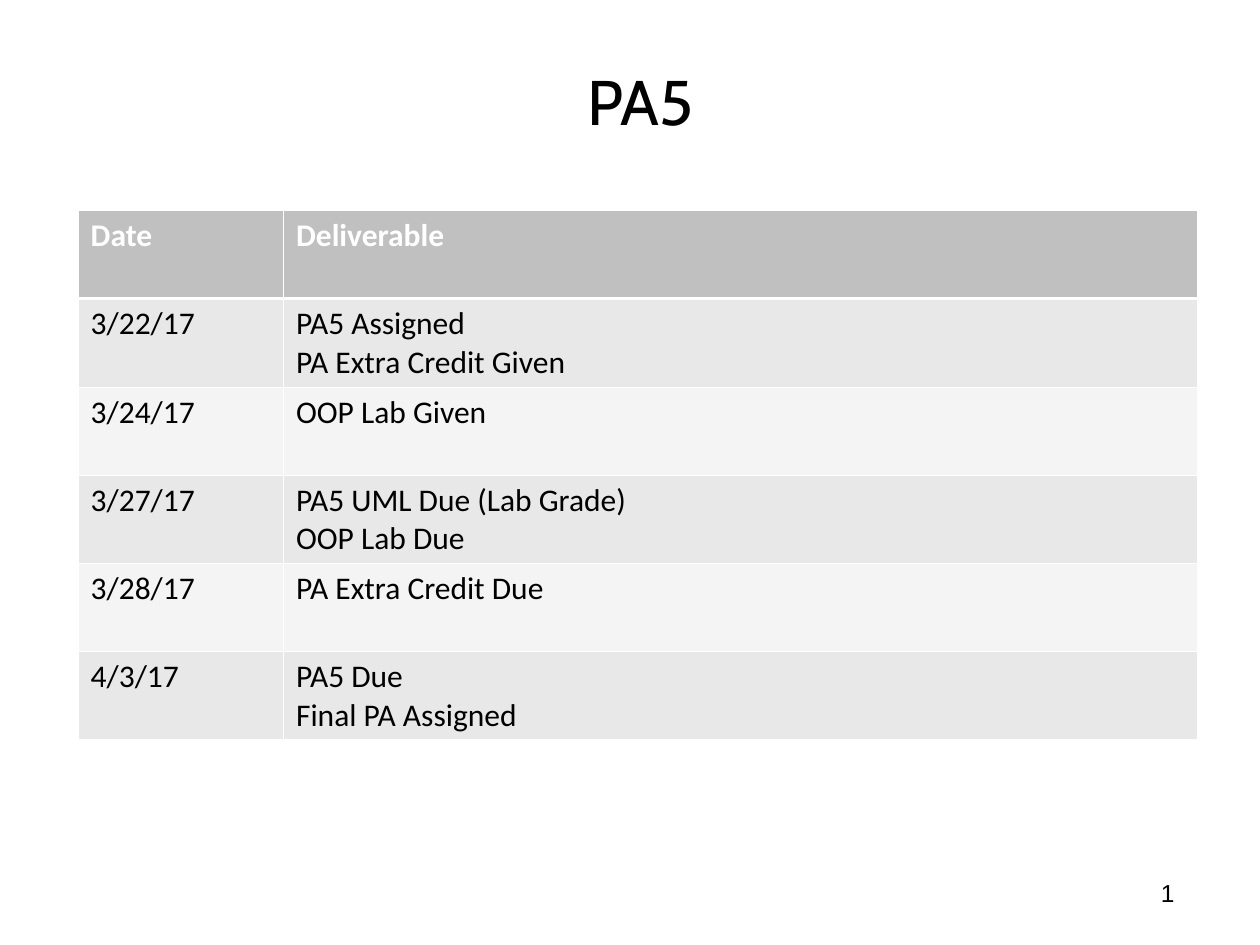
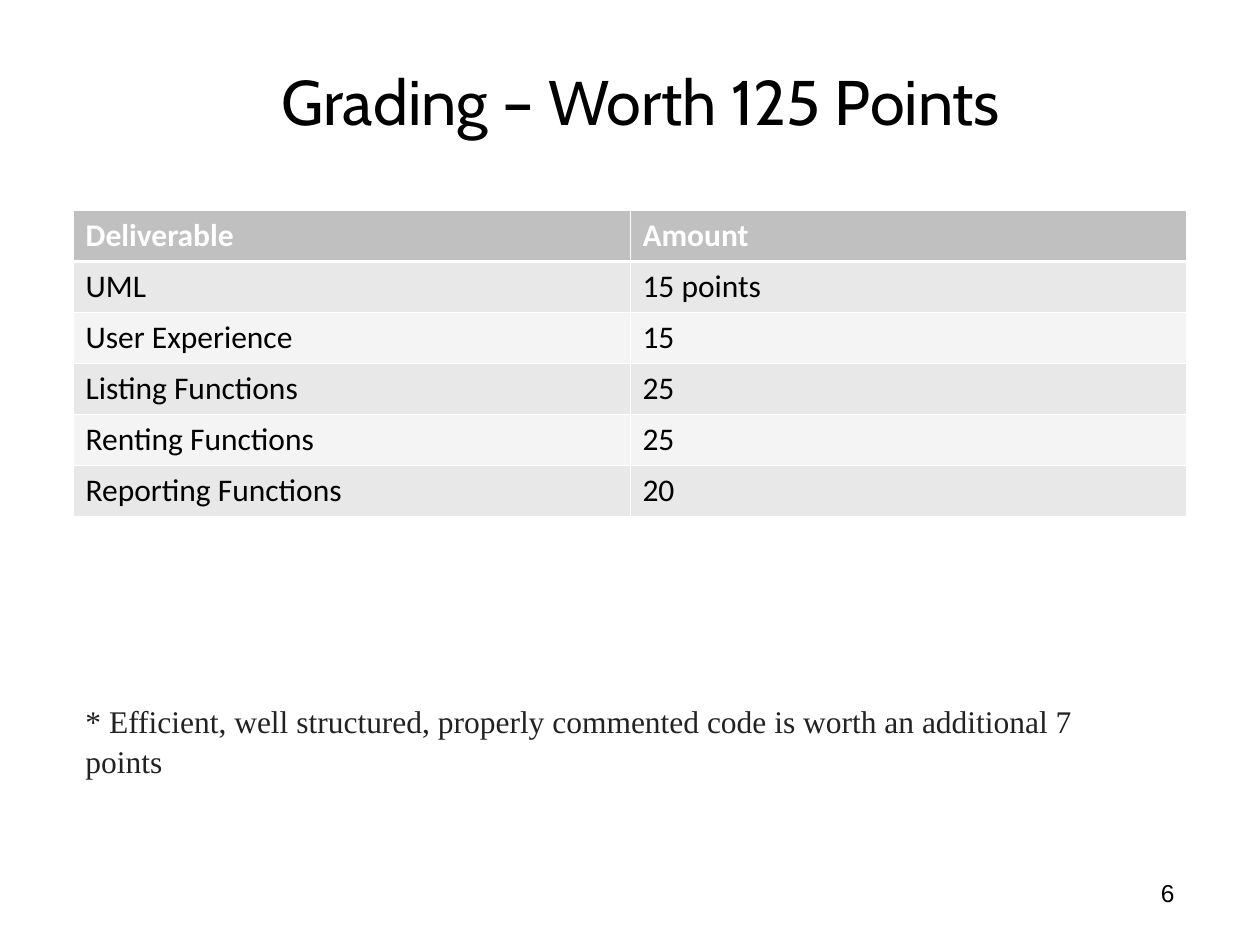
import pptx
import pptx.util
import pptx.dml.color
import pptx.enum.text
import pptx.oxml

Inches = pptx.util.Inches
Pt = pptx.util.Pt
ALIGN = pptx.enum.text.PP_ALIGN
ANCHOR = pptx.enum.text.MSO_ANCHOR

BLACK, WHITE, NOTE_GREY = "000000", "FFFFFF", "222222"
HEADER_FILL, BAND_FILLS = "C0C0C0", ("F4F4F4", "E8E8E8")
THIN, THICK = 0.45, 1.47
TABLE_TOP = 1.67
NS = "http://schemas.openxmlformats.org/drawingml/2006/main"


def rgb(value):
    return pptx.dml.color.RGBColor.from_string(value)


def write(paragraph, text, font, size, color, bold=False):
    run = paragraph.add_run()
    run.text = text
    run.font.name = font
    run.font.size = Pt(size)
    run.font.bold = bold
    run.font.color.rgb = rgb(color)


schedule = [
    ("Date", "Deliverable"),
    ("3/22/17", "PA5 Assigned|PA Extra Credit Given"),
    ("3/24/17", "OOP Lab Given"),
    ("3/27/17", "PA5 UML Due (Lab Grade)|OOP Lab Due"),
    ("3/28/17", "PA Extra Credit Due"),
    ("4/3/17", "PA5 Due|Final PA Assigned"),
]
grading = [
    ("Deliverable", "Amount"),
    ("UML", "15 points"),
    ("User Experience", "15"),
    ("Listing Functions", "25"),
    ("Renting Functions", "25"),
    ("Reporting Functions", "20"),
]
grading_note = "* Efficient, well structured, properly commented code is worth an additional 7 points"

pages = [
    ("PA5", "1", schedule, 0.62, (1.63, 7.25), 4.2, None),
    ("Grading – Worth 125 Points", "6", grading, 0.58, (4.42, 4.42), 2.43, grading_note),
]

deck = pptx.Presentation()
deck.slide_width = Inches(10)
deck.slide_height = Inches(7.5)

for heading, number, rows, left, widths, height, note in pages:
    slide = deck.slides.add_slide(deck.slide_layouts[6])

    title = slide.shapes.add_textbox(Inches(0.73), Inches(0.23), Inches(8.71), Inches(1.13)).text_frame
    title.word_wrap = True
    title.vertical_anchor = ANCHOR.MIDDLE
    title.margin_left = title.margin_right = title.margin_top = title.margin_bottom = 0
    title.paragraphs[0].alignment = ALIGN.CENTER
    write(title.paragraphs[0], heading, "Cabin", 36, BLACK)

    page_number = slide.shapes.add_textbox(Inches(7.17), Inches(6.92), Inches(2.25), Inches(0.42)).text_frame
    page_number.word_wrap = True
    page_number.paragraphs[0].alignment = ALIGN.RIGHT
    write(page_number.paragraphs[0], number, "Arial", 14, BLACK)

    table = slide.shapes.add_table(
        len(rows), len(widths), Inches(left), Inches(TABLE_TOP), Inches(sum(widths)), Inches(height)
    ).table
    for column, width in zip(table.columns, widths):
        column.width = Inches(width)

    for r, entries in enumerate(rows):
        is_header = r == 0
        borders = {
            "lnL": THIN,
            "lnR": THIN,
            "lnT": THICK if r == 1 else THIN,
            "lnB": THICK if is_header else THIN,
        }
        for c, entry in enumerate(entries):
            cell = table.cell(r, c)
            cell_properties = cell._tc.get_or_add_tcPr()
            for edge, weight in borders.items():
                cell_properties.append(pptx.oxml.parse_xml(
                    f'<a:{edge} xmlns:a="{NS}" w="{Pt(weight)}"><a:solidFill>'
                    f'<a:srgbClr val="{WHITE}"/></a:solidFill></a:{edge}>'
                ))
            cell.fill.solid()
            cell.fill.fore_color.rgb = rgb(HEADER_FILL if is_header else BAND_FILLS[r % 2])
            for i, line in enumerate(entry.split("|")):
                paragraph = cell.text_frame.add_paragraph() if i else cell.text_frame.paragraphs[0]
                write(paragraph, line, "Calibri", 18, WHITE if is_header else BLACK, is_header)

    if note:
        footnote = slide.shapes.add_textbox(Inches(left), Inches(5.2), Inches(8.58), Inches(1)).text_frame
        footnote.word_wrap = True
        footnote.margin_top = Inches(0.36)
        footnote.paragraphs[0].line_spacing = 1.05
        write(footnote.paragraphs[0], note, "Times New Roman", 18, NOTE_GREY)

deck.save("out.pptx")
